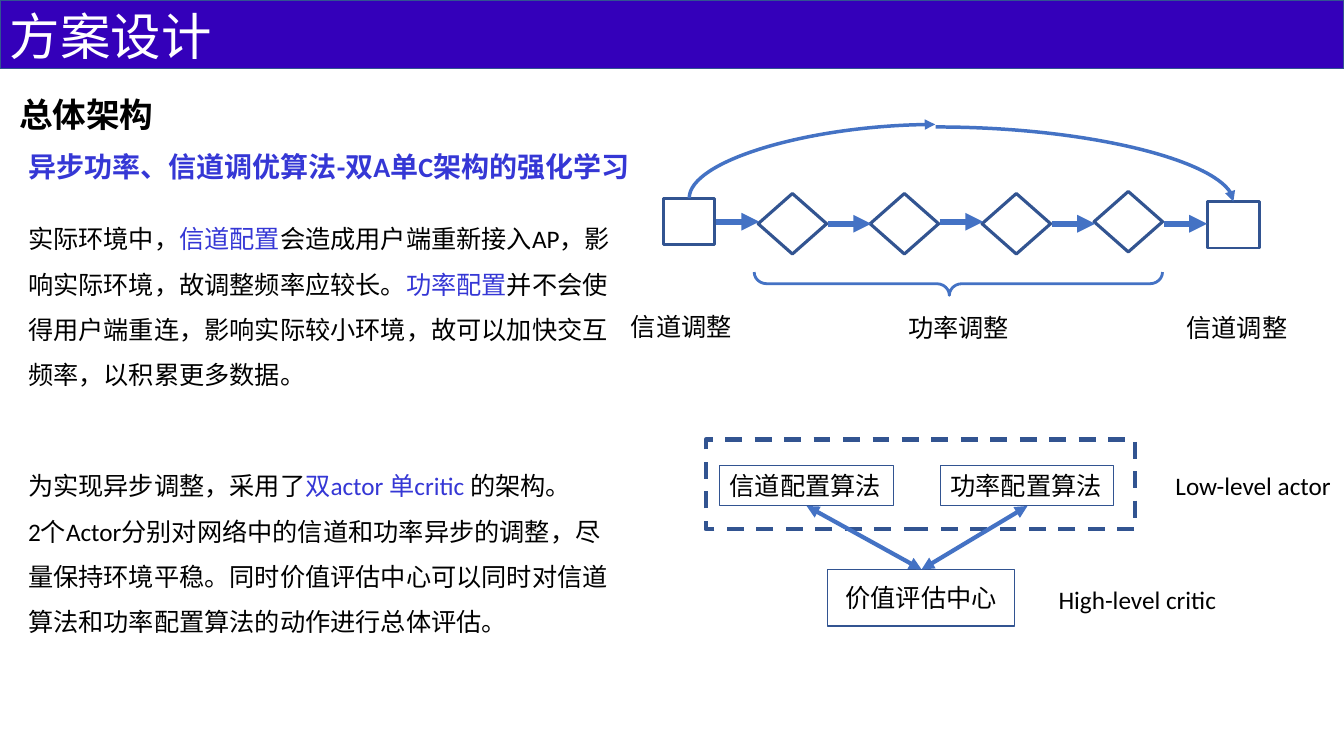
from dataclasses import dataclass

import pptx
import pptx.dml.color
import pptx.enum.dml
import pptx.enum.shapes
import pptx.enum.text
import pptx.oxml
import pptx.oxml.ns
import pptx.util

MSO_SHAPE = pptx.enum.shapes.MSO_SHAPE
MSO_CONNECTOR = pptx.enum.shapes.MSO_CONNECTOR
PP_ALIGN = pptx.enum.text.PP_ALIGN
MSO_ANCHOR = pptx.enum.text.MSO_ANCHOR

WHITE, BLACK = "FFFFFF", "000000"
BAR, ACCENT = "3400BA", "3537D5"
OUTLINE, FLOW = "325491", "4472C4"
STEP = 8.33

Run = tuple[str, str]


@dataclass
class Box:
    left: float
    top: float
    width: float
    height: float


@dataclass
class Text:
    box: Box
    paragraphs: list[list[Run]]
    size: float = 18
    bold: bool = False
    spacing: float = 1


@dataclass
class Outline:
    box: Box
    weight: float
    kind: MSO_SHAPE = MSO_SHAPE.RECTANGLE
    color: str = OUTLINE
    fill: str = ""
    label: str = ""
    centred: bool = False
    dashed: bool = False
    rotation: float = 0
    adjustments: tuple[float, ...] = ()


@dataclass
class Arrow:
    x1: float
    y1: float
    x2: float
    y2: float
    weight: float
    ends: tuple[str, ...] = ("tailEnd",)
    curved: bool = False
    rotation: int = 0


prs = pptx.Presentation()
prs.slide_width = pptx.util.Inches(13.33)
prs.slide_height = pptx.util.Inches(7.5)
s = prs.slides.add_slide(prs.slide_layouts[6])


def rgb(color: str) -> pptx.dml.color.RGBColor:
    return pptx.dml.color.RGBColor.from_string(color)


def x(percent: float) -> int:
    return round(prs.slide_width * percent / 100)


def y(percent: float) -> int:
    return round(prs.slide_height * percent / 100)


def place(b: Box) -> tuple[int, int, int, int]:
    return x(b.left), y(b.top), x(b.width), y(b.height)


def write(tf, paragraphs: list[list[Run]], size: float = 18, bold: bool = False,
          spacing: float = 1, align=PP_ALIGN.LEFT) -> None:
    for i, runs in enumerate(paragraphs):
        p = tf.add_paragraph() if i else tf.paragraphs[0]
        p.alignment, p.line_spacing = align, spacing
        p.font.name, p.font.size, p.font.bold = "Calibri", pptx.util.Pt(size), bold
        for text, color in runs:
            r = p.add_run()
            r.text = text
            r.font.color.rgb = rgb(color)


def draw_text(t: Text) -> None:
    tf = s.shapes.add_textbox(*place(t.box)).text_frame
    tf.word_wrap = True
    write(tf, t.paragraphs, t.size, t.bold, t.spacing)


def draw_outline(o: Outline) -> None:
    sp = s.shapes.add_shape(o.kind, *place(o.box))
    sp.shadow.inherit = False
    sp.rotation = o.rotation
    for i, value in enumerate(o.adjustments):
        sp.adjustments[i] = value
    if o.fill:
        sp.fill.solid()
        sp.fill.fore_color.rgb = rgb(o.fill)
    else:
        sp.fill.background()
    sp.line.color.rgb = rgb(o.color)
    sp.line.width = pptx.util.Pt(o.weight)
    if o.dashed:
        sp.line.dash_style = pptx.enum.dml.MSO_LINE.DASH
    if o.label:
        tf = sp.text_frame
        tf.word_wrap = o.centred
        tf.vertical_anchor = MSO_ANCHOR.MIDDLE if o.centred else MSO_ANCHOR.TOP
        write(tf, [[(o.label, BLACK)]], align=PP_ALIGN.CENTER if o.centred else PP_ALIGN.LEFT)


def draw_arrow(a: Arrow) -> None:
    kind = MSO_CONNECTOR.CURVE if a.curved else MSO_CONNECTOR.STRAIGHT
    sp = s.shapes.add_connector(kind, x(a.x1), y(a.y1), x(a.x2), y(a.y2))
    sp.line.color.rgb = rgb(FLOW)
    sp.line.width = pptx.util.Pt(a.weight)
    props = sp._element.spPr
    if a.curved:
        props.find(pptx.oxml.ns.qn("a:prstGeom")).set("prst", "curvedConnector2")
        props.find(pptx.oxml.ns.qn("a:xfrm")).set("rot", str(a.rotation * 60000))
    ln = sp.line._get_or_add_ln()
    ns = pptx.oxml.ns.nsdecls("a")
    for end in a.ends:
        ln.append(pptx.oxml.parse_xml(f'<a:{end} {ns} type="triangle"/>'))
    props.append(pptx.oxml.parse_xml(f"<a:effectLst {ns}/>"))


draw_outline(Outline(Box(0, 0, 100, 9.07), 1, fill=BAR))

texts = [
    Text(Box(0, 0, 44.34, 9.47), [[("方案设计", WHITE)]], 36),
    Text(Box(0.68, 11.73, 37.96, 6.67), [[("总体架构", BLACK)]], 24, True),
    Text(Box(1.35, 19.07, 47.49, 5.87),
         [[("异步功率、信道调优算法-双A单C架构的强化学习", ACCENT)]], 20, True),
    Text(Box(1.35, 26.93, 45.46, 24.93), [[
        ("实际环境中，", BLACK),
        ("信道配置", ACCENT),
        ("会造成用户端重新接入AP，影响实际环境，故调整频率应较长。", BLACK),
        ("功率配置", ACCENT),
        ("并不会使得用户端重连，影响实际较小环境，故可以加快交互频率，以积累更多数据。", BLACK),
    ]], spacing=1.5),
    Text(Box(1.35, 59.6, 45.46, 24.93), [
        [("为实现异步调整，采用了", BLACK), ("双actor 单critic ", ACCENT), ("的架构。", BLACK)],
        [("2个Actor分别对网络中的信道和功率异步的调整，尽量保持环境平稳。"
          "同时价值评估中心可以同时对信道算法和功率配置算法的动作进行总体评估。", BLACK)],
    ], spacing=1.5),
    Text(Box(46.21, 40.53, 10.2, 5.33), [[("信道调整", BLACK)]]),
    Text(Box(66.84, 40.67, 10.2, 5.33), [[("功率调整", BLACK)]]),
    Text(Box(87.55, 40.67, 9.83, 5.33), [[("信道调整", BLACK)]]),
    Text(Box(86.72, 61.6, 15, 5.33), [[("Low-level actor", BLACK)]]),
    Text(Box(78.02, 76.67, 15, 5.33), [[("High-level critic", BLACK)]]),
]
for text in texts:
    draw_text(text)

power_steps = [Outline(Box(56.41 + STEP * i, top, 5.1, 8), 2.25, MSO_SHAPE.DIAMOND)
               for i, top in enumerate((25.6, 25.6, 25.6, 25.33))]
channel_steps = [Outline(Box(left, top, 3.83, 6.13), 2)
                 for left, top in ((49.36, 26.27), (89.87, 26.67))]
brace = Outline(Box(70.44, 10.53, 1.73, 54), 2, MSO_SHAPE.LEFT_BRACE, FLOW,
                rotation=270, adjustments=(0.54, 0.478))
critic = Outline(Box(61.59, 75.33, 13.88, 7.47), 1, label="价值评估中心", centred=True)
actors = [Outline(Box(left, 61.6, 12.9, 5.33), 0.75, label=label)
          for left, label in ((53.56, "信道配置算法"), (69.99, "功率配置算法"))]
actor_group = Outline(Box(52.51, 58.13, 31.96, 11.87), 3, dashed=True)
for outline in [*power_steps, *channel_steps, brace, critic, *actors, actor_group]:
    draw_outline(outline)

step_arrows = [Arrow(53.26 + STEP * i, level, 56.49 + STEP * i, level, 4.25)
               for i, level in enumerate((29.33, 29.6, 29.33, 29.6, 29.6))]
channel_arcs = [
    Arrow(63.17, 37.6, 57.69, 5.07, 2.5, curved=True, rotation=90),
    Arrow(69.62, 16.8, 91.77, 26.67, 2.5, curved=True),
]
critic_arrows = [Arrow(68.57, 75.33, actor_x, 66.93, 3, ("headEnd", "tailEnd"))
                 for actor_x in (60.02, 76.45)]
for arrow in step_arrows + channel_arcs + critic_arrows:
    draw_arrow(arrow)

prs.save("out.pptx")
